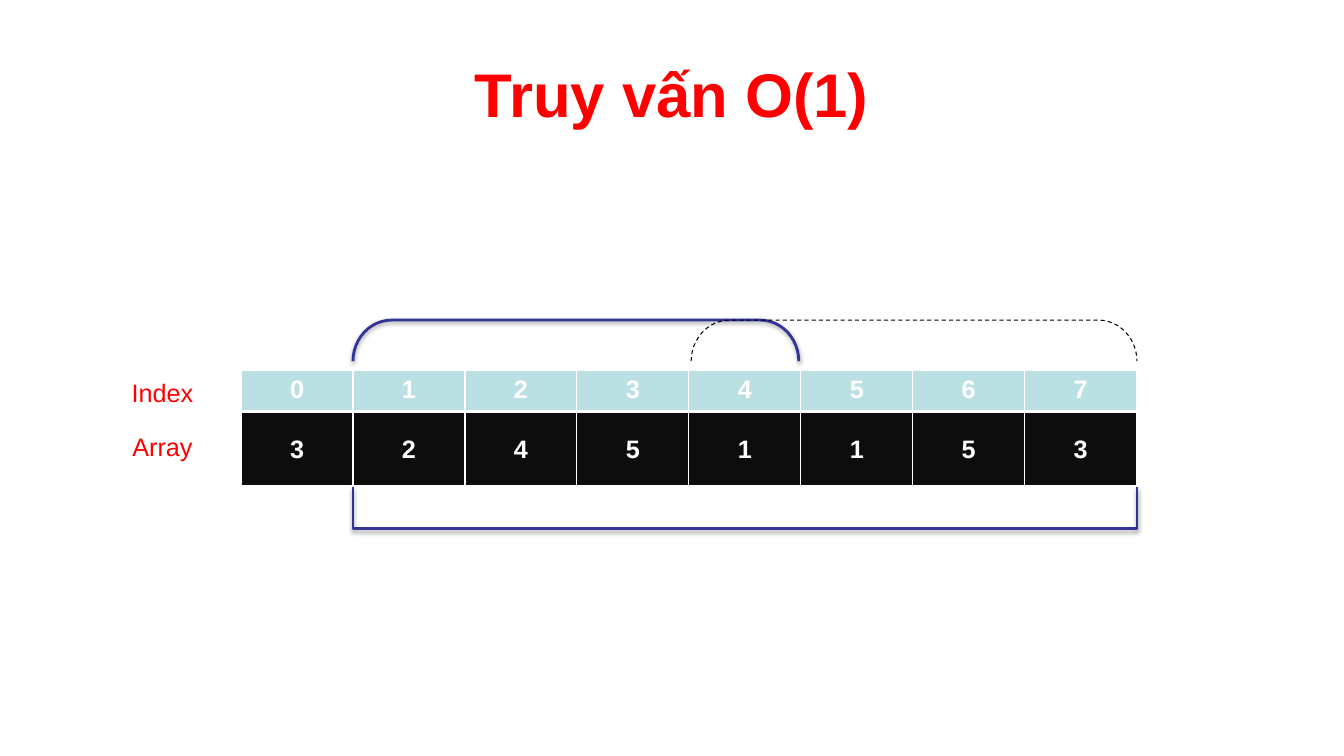
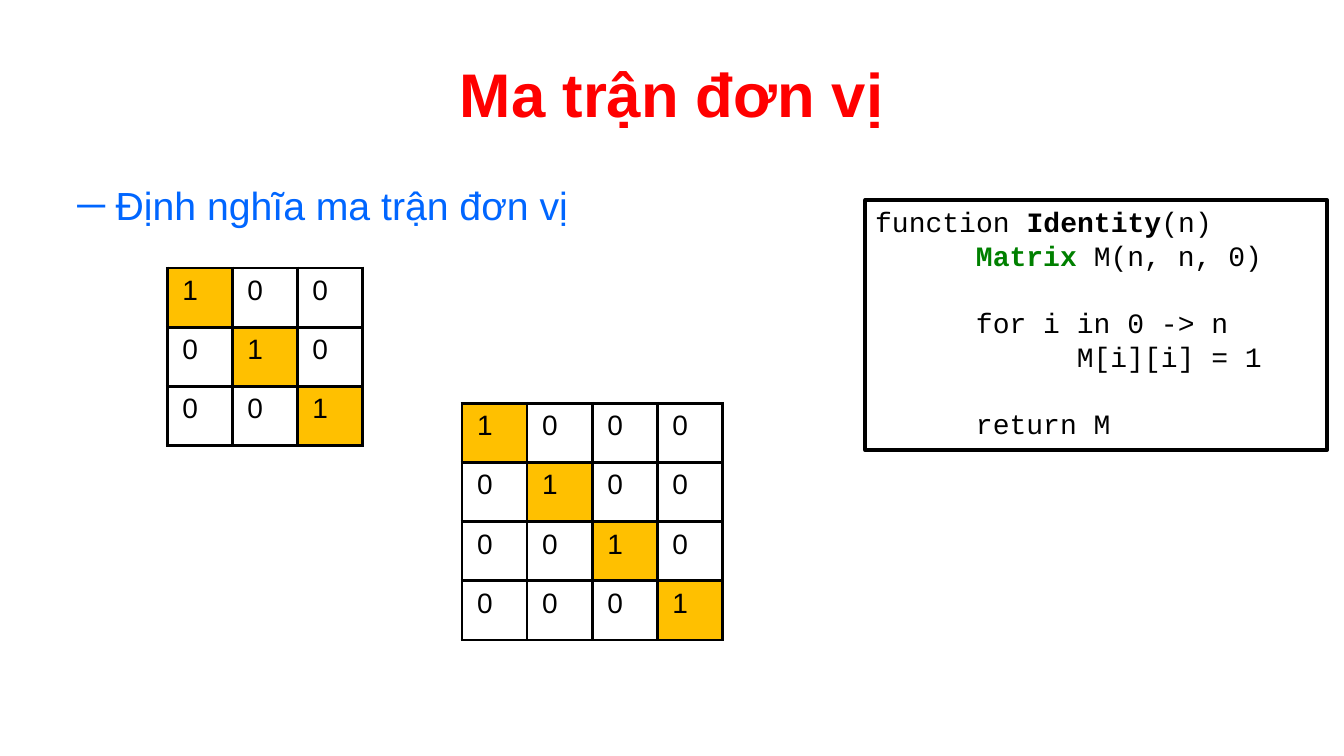
from lxml.etree import SubElement
from pptx import Presentation
from pptx.dml.color import RGBColor
from pptx.enum.dml import MSO_LINE
from pptx.enum.shapes import MSO_SHAPE
from pptx.enum.text import MSO_ANCHOR, PP_ALIGN
from pptx.oxml.ns import qn
from pptx.util import Inches, Pt

RED = RGBColor(0xFF, 0x00, 0x00)
BLUE = RGBColor(0x00, 0x66, 0xFF)
INDIGO = RGBColor(0x33, 0x33, 0x99)
GREEN = RGBColor(0x00, 0x80, 0x00)
BLACK = RGBColor(0x00, 0x00, 0x00)
CHARCOAL = RGBColor(0x0D, 0x0D, 0x0D)
WHITE = RGBColor(0xFF, 0xFF, 0xFF)
PALE_TEAL = RGBColor(0xBB, 0xE0, 0xE3)
AMBER = RGBColor(0xFF, 0xC0, 0x00)

TITLE_ONLY, TITLE_AND_BODY = 5, 1
GRID_COLUMNS, GRID_ROWS = 160, 90
CODE_LINE = Pt(24)

ARRAY_LEFT, ARRAY_CELL = 28.7, 13.33
BRACKET_HEIGHT = 4.9
MATRIX_CELL = (7.75, 7.05)


class Deck:
    """Holds the style and the current slide; lengths are grid columns and rows."""

    font = "Arial"
    code_font = "Courier New"

    def __init__(self):
        self.presentation = Presentation()
        self.presentation.slide_width = Inches(13.33)
        self.presentation.slide_height = Inches(7.5)
        self.slide = None

    def box(self, left, top, width, height):
        column = self.presentation.slide_width / GRID_COLUMNS
        row = self.presentation.slide_height / GRID_ROWS
        return (round(left * column), round(top * row),
                round(width * column), round(height * row))

    def place(self, shape, *area):
        shape.left, shape.top, shape.width, shape.height = self.box(*area)

    def style(self, run, size, color, bold=False, font=None):
        run.font.name = font or self.font
        run.font.size = Pt(size)
        run.font.bold = bold
        run.font.color.rgb = color

    def set_text(self, text_frame, text, size, color, bold=False, align=PP_ALIGN.LEFT):
        text_frame.text = text
        paragraph = text_frame.paragraphs[0]
        paragraph.alignment = align
        self.style(paragraph.runs[0], size, color, bold)
        return paragraph

    def add_slide(self, layout, title):
        layouts = self.presentation.slide_layouts
        self.slide = self.presentation.slides.add_slide(layouts[layout])
        shape = self.slide.shapes.title
        self.place(shape, 8, 3.6, 144, 15)
        shape.text_frame.vertical_anchor = MSO_ANCHOR.MIDDLE
        self.set_text(shape.text_frame, title, 44, RED, True, PP_ALIGN.CENTER)

    def body(self, text):
        shape = self.slide.placeholders[1]
        self.place(shape, 8, 21, 144, 59.4)
        paragraph = self.set_text(shape.text_frame, text, 28, BLUE)
        properties = paragraph._p.get_or_add_pPr()
        indent = Inches(0.38)
        properties.set("marL", str(indent))
        properties.set("indent", str(-indent))
        SubElement(properties, qn("a:buChar"), char="─")

    def label(self, text, top):
        shape = self.slide.shapes.add_textbox(*self.box(7, top, 24.7, 4.9))
        shape.text_frame.word_wrap = True
        self.set_text(shape.text_frame, text, 18, RED, align=PP_ALIGN.CENTER)

    def table(self, left, top, cell_width, cell_height, values, format_cell):
        area = self.box(left, top, cell_width * len(values[0]), cell_height * len(values))
        table = self.slide.shapes.add_table(len(values), len(values[0]), *area).table
        table.first_row = table.horz_banding = False
        for row, row_values in enumerate(values):
            for column, value in enumerate(row_values):
                format_cell(table.cell(row, column), value)

    def borders(self, cell, color, left, right, top, bottom):
        """Draw the four sides of a cell; must come before the cell's fill."""
        properties = cell._tc.get_or_add_tcPr()
        for side, width in zip("LRTB", (left, right, top, bottom)):
            line = SubElement(properties, qn(f"a:ln{side}"), w=str(Pt(width)))
            solid = SubElement(line, qn("a:solidFill"))
            SubElement(solid, qn("a:srgbClr"), val=str(color))

    def array(self, top, height, values, fill, anchor):
        def format_cell(cell, value):
            self.borders(cell, WHITE, 1, 1, 1, 3)
            cell.fill.solid()
            cell.fill.fore_color.rgb = fill
            cell.vertical_anchor = anchor
            self.set_text(cell.text_frame, str(value), 18, WHITE, True, PP_ALIGN.CENTER)

        self.table(ARRAY_LEFT, top, ARRAY_CELL, height, [values], format_cell)

    def identity_matrix(self, left, top, size):
        def format_cell(cell, value):
            self.borders(cell, BLACK, *[2.25] * 4)
            if value:
                cell.fill.solid()
                cell.fill.fore_color.rgb = AMBER
            else:
                cell.fill.background()
            cell.margin_left = cell.margin_right = Inches(0.15)
            cell.margin_top = cell.margin_bottom = Inches(0.07)
            self.set_text(cell.text_frame, str(value), 20, BLACK)

        values = [[int(row == column) for column in range(size)] for row in range(size)]
        self.table(left, top, *MATRIX_CELL, values, format_cell)

    def bracket(self, start, end, top, rotation, color, width, rounding=0, dashed=False):
        """Span array cells from start to end with a bracket turned on its side."""
        length = (end - start) * ARRAY_CELL
        center_x = ARRAY_LEFT + (start + end) / 2 * ARRAY_CELL
        center_y = top + BRACKET_HEIGHT / 2
        area = self.box(center_x - BRACKET_HEIGHT / 2, center_y - length / 2,
                        BRACKET_HEIGHT, length)
        shape = self.slide.shapes.add_shape(MSO_SHAPE.LEFT_BRACKET, *area)
        shape.rotation = rotation
        shape.adjustments[0] = rounding
        shape.fill.background()
        shape.line.color.rgb = color
        shape.line.width = Pt(width)
        shape.shadow.inherit = False
        if dashed:
            shape.line.dash_style = MSO_LINE.DASH
        else:
            self.drop_shadow(shape)

    def drop_shadow(self, shape):
        effects = shape._element.spPr.find(qn("a:effectLst"))
        shadow = SubElement(effects, qn("a:outerShdw"), blurRad=str(Pt(3.1)),
                            dist=str(Pt(1.6)), dir="5400000", rotWithShape="0")
        color = SubElement(shadow, qn("a:srgbClr"), val=str(BLACK))
        SubElement(color, qn("a:alpha"), val="38000")

    def code(self, area, lines):
        """Frame code lines, each given as (indent, blank lines before, runs)."""
        shape = self.slide.shapes.add_shape(MSO_SHAPE.RECTANGLE, *self.box(*area))
        shape.shadow.inherit = False
        shape.fill.background()
        shape.line.color.rgb = BLACK
        shape.line.width = Pt(2.5)
        text_frame = shape.text_frame
        text_frame.word_wrap = True
        text_frame.vertical_anchor = MSO_ANCHOR.TOP
        for number, (indent, gap, runs) in enumerate(lines):
            paragraph = text_frame.add_paragraph() if number else text_frame.paragraphs[0]
            paragraph.alignment = PP_ALIGN.LEFT
            paragraph.line_spacing = CODE_LINE
            paragraph.space_before = gap * CODE_LINE
            paragraph._p.get_or_add_pPr().set("marL", str(Inches(indent)))
            for text, color, bold in runs:
                run = paragraph.add_run()
                run.text = text
                self.style(run, 20, color, bold, self.code_font)


def add_query_slide(deck):
    deck.add_slide(TITLE_ONLY, "Truy vấn O(1)")
    deck.array(49, 9, [3, 2, 4, 5, 1, 1, 5, 3], CHARCOAL, MSO_ANCHOR.MIDDLE)
    deck.array(44.1, 4.9, range(8), PALE_TEAL, MSO_ANCHOR.TOP)
    deck.label("Index", 44.3)
    deck.label("Array", 50.7)
    deck.bracket(1, 8, 58, 270, INDIGO, 2)
    deck.bracket(1, 4.98, 38.1, 90, INDIGO, 2, rounding=0.94)
    deck.bracket(4.02, 8, 38.1, 90, BLACK, 0.75, rounding=0.94, dashed=True)


def add_identity_slide(deck):
    deck.add_slide(TITLE_AND_BODY, "Ma trận đơn vị")
    deck.body("Định nghĩa ma trận đơn vị")
    deck.code((103, 23.8, 55, 29.8), [
        (0, 0, [("function ", BLACK, False), ("Identity", BLACK, True),
                ("(n)", BLACK, False)]),
        (1, 0, [("Matrix", GREEN, True), (" M(n, n, 0)", BLACK, False)]),
        (1, 1, [("for i in 0 -> n", BLACK, False)]),
        (2, 0, [("M[i][i] = 1", BLACK, False)]),
        (1, 1, [("return M", BLACK, False)]),
    ])
    deck.identity_matrix(19.9, 31.9, 3)
    deck.identity_matrix(55, 48, 4)


def main():
    deck = Deck()
    add_query_slide(deck)
    add_identity_slide(deck)
    deck.presentation.save("out.pptx")


if __name__ == "__main__":
    main()
